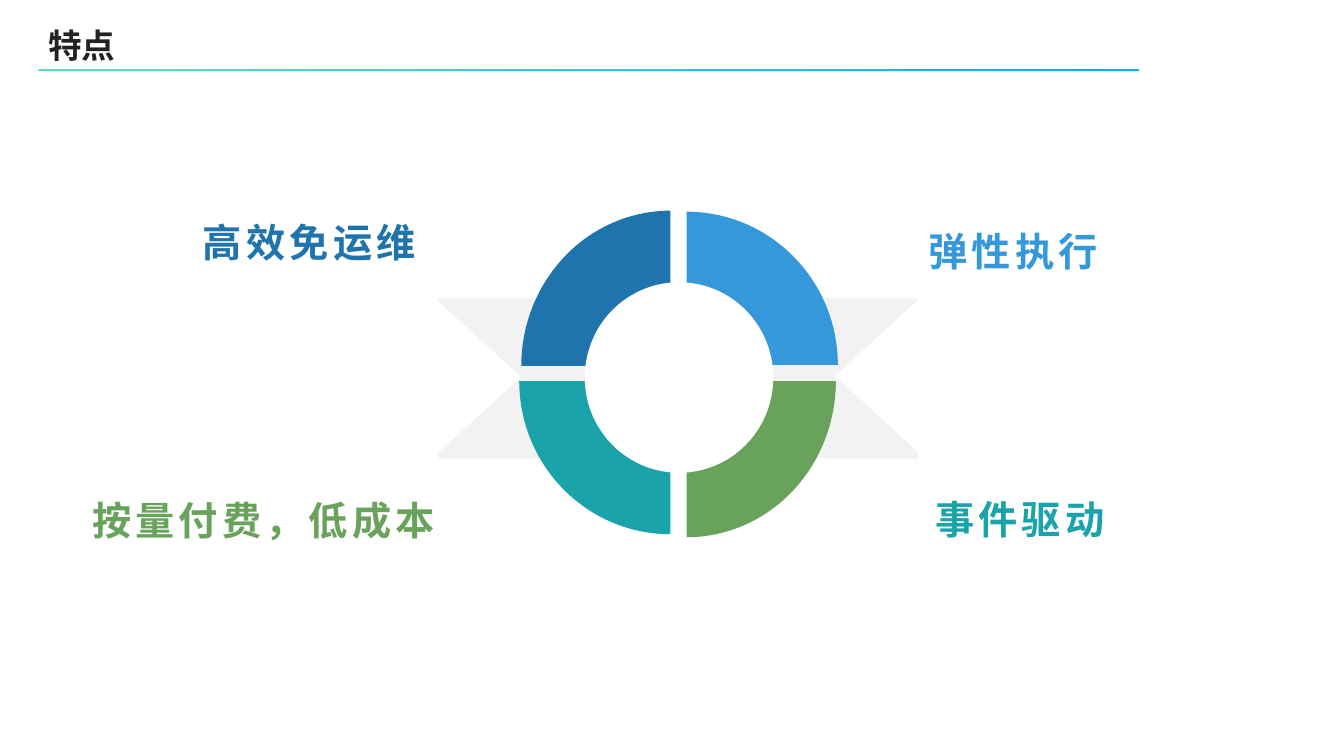
from pptx import Presentation
from pptx.dml.color import RGBColor
from pptx.enum import shapes, text
from pptx.oxml.ns import qn
from pptx.util import Inches, Pt

TITLE = "特点"
LEFT, RIGHT = text.PP_ALIGN.LEFT, text.PP_ALIGN.RIGHT
NAVY, BLUE, GREEN, TEAL = "1F74AD", "3498DB", "69A35B", "1AA3AA"

# label, colour, alignment, (left, top, width, height)
FEATURES = [
    ("弹性执行", BLUE, LEFT, (9.11, 2.11, 2.07, 0.61)),
    ("按量付费，低成本", GREEN, RIGHT, (0.44, 4.78, 3.97, 0.61)),
    ("高效免运维", NAVY, RIGHT, (0.62, 2.02, 3.6, 0.61)),
    ("事件驱动", TEAL, RIGHT, (8.3, 4.77, 2.75, 0.61)),
]
# Clockwise from top left: colour, box as seen on the slide
QUADRANTS = [
    (NAVY, (5.17, 2.09, 1.48, 1.54)),
    (BLUE, (6.81, 2.1, 1.5, 1.52)),
    (GREEN, (6.81, 3.78, 1.48, 1.55)),
    (TEAL, (5.15, 3.78, 1.5, 1.52)),
]
HUB = (5.8, 2.8, 1.87, 1.89)
RULE = (0.38, 0.68, 10.92, 0.02)
RULE_COLOURS = ("5EDEBF", "00AFFE")
RIBBON = [(4.35, 2.96), (9.11, 2.96), (9.11, 2.97), (8.28, 3.73), (9.11, 4.49),
          (9.11, 4.55), (4.35, 4.55), (4.35, 4.49), (5.17, 3.74), (4.35, 2.99)]


def rgb(value):
    return RGBColor.from_string(value)


def inches(values):
    return [Inches(v) for v in values]


def finish(sp, colour=None):
    """Remove outline and shadow, and fill if a colour is given."""
    sp.shadow.inherit = False
    sp.line.fill.background()
    if colour:
        sp.fill.solid()
        sp.fill.fore_color.rgb = rgb(colour)


def add_shape(s, kind, box, colour=None):
    sp = s.shapes.add_shape(kind, *inches(box))
    finish(sp, colour)
    return sp


def add_quadrant(s, turns, box, colour):
    """Turn a wedge clockwise by quarter turns so that it covers box."""
    x, y, w, h = box
    if turns % 2:
        x, y, w, h = x + (w - h) / 2, y + (h - w) / 2, h, w
    sp = add_shape(s, shapes.MSO_SHAPE.PIE_WEDGE, (x, y, w, h), colour)
    sp.rotation = 90 * turns


def write(tf, words, size, font, colour, align, spacing):
    tf.vertical_anchor = text.MSO_ANCHOR.MIDDLE
    p = tf.paragraphs[0]
    p.alignment, p.line_spacing = align, spacing
    r = p.add_run()
    r.text = words
    r.font.size, r.font.name, r.font.bold = Pt(size), font, True
    r.font.color.rgb = rgb(colour)
    return r


def add_label(s, words, colour, align, box):
    tf = s.shapes.add_textbox(*inches(box)).text_frame
    tf.word_wrap = True
    tf.margin_bottom = 0
    r = write(tf, words, 28, "Arial", colour, align, 1.2)
    r.font._element.set("spc", "300")


def main():
    prs = Presentation()
    prs.slide_width, prs.slide_height = Inches(13.33), Inches(7.5)
    s = prs.slides.add_slide(prs.slide_layouts[5])

    rule = add_shape(s, shapes.MSO_SHAPE.RECTANGLE, RULE)
    rule.fill.gradient()
    rule.fill.gradient_angle = 0
    for stop, position, colour in zip(rule.fill.gradient_stops, (0, 1), RULE_COLOURS):
        stop.position, stop.color.rgb = position, rgb(colour)

    title = s.shapes.title
    title.left, title.top, title.width, title.height = inches((0.38, 0.23, 11.5, 0.48))
    title.text_frame.auto_size = text.MSO_AUTO_SIZE.NONE
    r = write(title.text_frame, TITLE, 24, "Noto Sans CJK SC", "222322", LEFT, 0.9)
    ea = r.font._element.makeelement(qn("a:ea"), {"typeface": "Noto Sans CJK SC"})
    r.font._element.append(ea)

    points = [tuple(inches(point)) for point in RIBBON]
    outline = s.shapes.build_freeform(*points[0])
    outline.add_line_segments(points[1:])
    finish(outline.convert_to_shape(), "F2F2F2")

    for turns, (colour, box) in enumerate(QUADRANTS):
        add_quadrant(s, turns, box, colour)
    add_shape(s, shapes.MSO_SHAPE.OVAL, HUB, "FFFFFF")
    for feature in FEATURES:
        add_label(s, *feature)
    prs.save("out.pptx")


if __name__ == "__main__":
    main()
